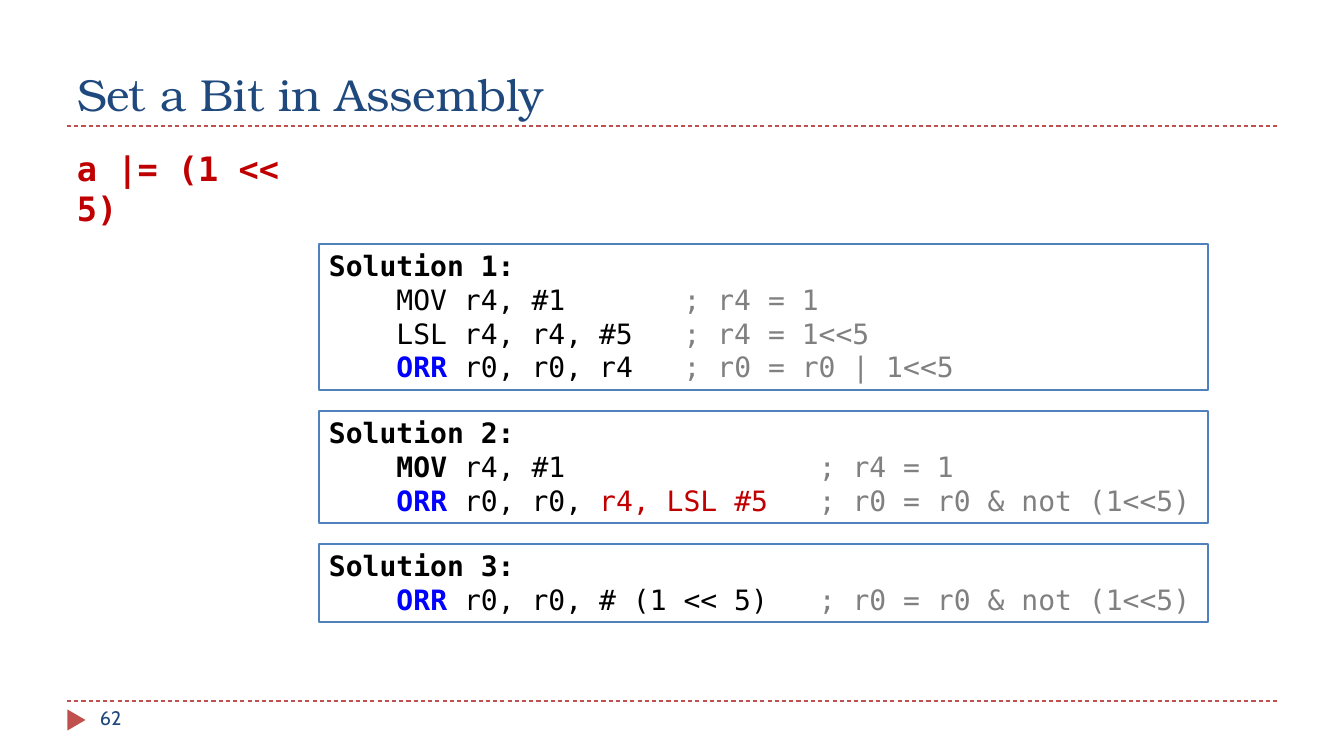
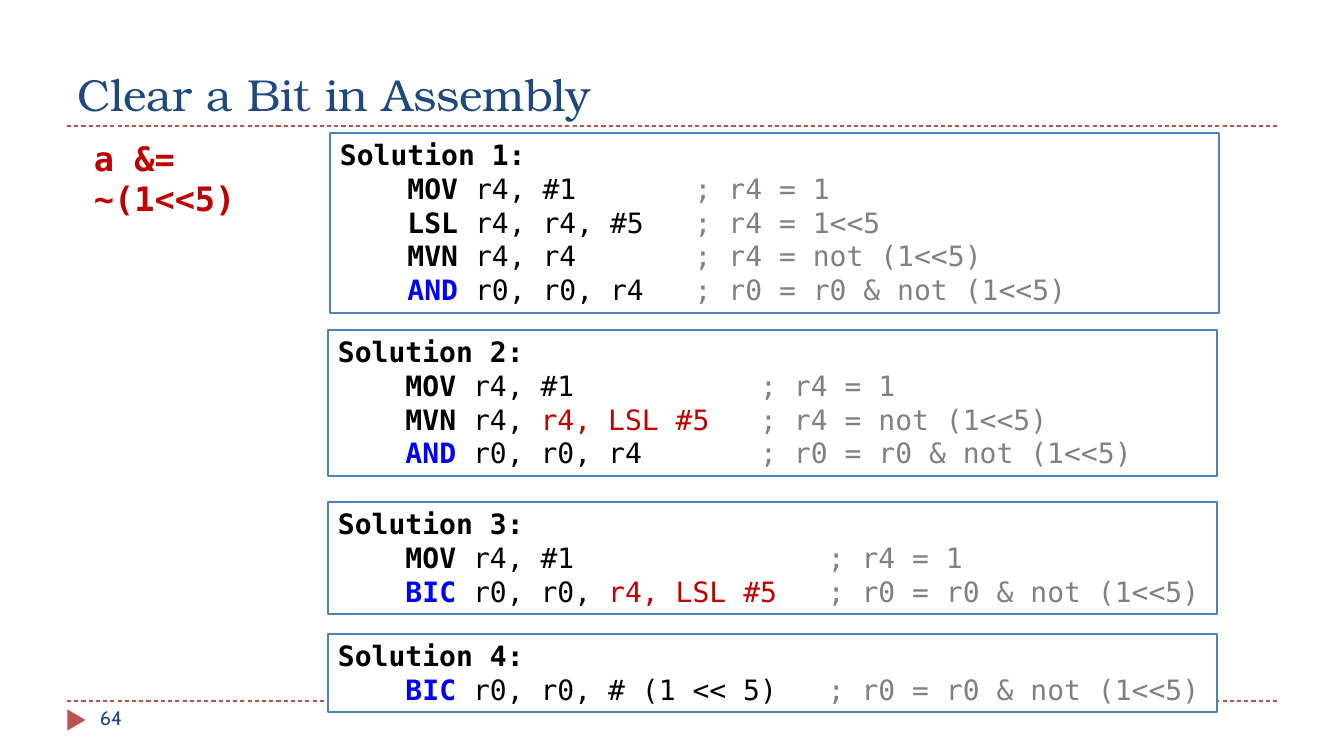
from lxml.etree import SubElement
from pptx import Presentation
from pptx.dml.color import RGBColor
from pptx.enum.dml import MSO_LINE
from pptx.enum.shapes import MSO_CONNECTOR, MSO_SHAPE
from pptx.enum.text import MSO_ANCHOR as Anchor, MSO_AUTO_SIZE as AutoSize, PP_ALIGN as Align
from pptx.oxml.ns import qn
from pptx.util import Emu, Pt

PX_PER_INCH = 100.8
COLORS = {
    "title": "1F497D", "accent": "C0504D", "border": "4F81BD", "paper": "FFFFFF",
    "code": "000000", "keyword": "0000FF", "shifted": "C00000", "comment": "808080",
}
FONTS = {
    "title": {"name": "TeX Gyre Bonum", "size": Pt(32), "bold": False},
    "number": {"name": "Cabin", "size": Pt(14), "bold": False},
    "formula": {"name": "DejaVu Sans Mono", "size": Pt(24), "bold": True},
    "code": {"name": "DejaVu Sans Mono", "size": Pt(20), "bold": False},
}
KEYWORDS = ("ORR", "AND", "BIC")
SHIFTED = "r4, LSL #5"
INDENT = " " * 4
COMMENT_GAP = 3
CODE_WIDTH, LINE_HEIGHT, CODE_PADDING = 889, 34, 10


def px(*lengths):
    return [Emu(round(length * 914400 / PX_PER_INCH)) for length in lengths]


def rgb(color):
    return RGBColor.from_string(COLORS[color])


def assign(target, **values):
    for name, value in values.items():
        setattr(target, name, value)


class Deck:
    def __init__(self):
        self.presentation = Presentation()
        width, height = px(1344, 756)
        assign(self.presentation, slide_width=width, slide_height=height)
        self.slide = None

    def add_slide(self, heading, number):
        layout = self.presentation.slide_layouts[5]
        self.slide = self.presentation.slides.add_slide(layout)
        for y in (701, 126):
            self.rule(y)
        self.marker()
        self.title(heading)
        self.label(number, "number", "title", 90, 701, 291, 40)

    def rule(self, y):
        line = self.slide.shapes.add_connector(MSO_CONNECTOR.STRAIGHT, *px(67, y, 1277, y))
        assign(line.line, width=Pt(0.75), dash_style=MSO_LINE.DASH)
        line.line.color.rgb = rgb("accent")
        SubElement(line.element.spPr, qn("a:effectLst"))

    def shape(self, kind, fill, *box):
        shape = self.slide.shapes.add_shape(kind, *px(*box))
        shape.shadow.inherit = False
        shape.fill.solid()
        shape.fill.fore_color.rgb = rgb(fill)
        return shape

    def marker(self):
        triangle = self.shape(MSO_SHAPE.ISOSCELES_TRIANGLE, "accent", 66, 711, 21, 18)
        triangle.rotation = 90
        triangle.line.fill.background()

    def title(self, heading):
        title = self.slide.shapes.title
        left, top, width, height = px(67, 17, 1210, 109)
        assign(title, left=left, top=top, width=width, height=height)
        self.frame(title, Anchor.BOTTOM)
        self.run(title.text_frame.paragraphs[0], heading, "title", "title")

    def label(self, text, font, color, *box):
        label = self.slide.shapes.add_textbox(*px(*box))
        self.frame(label)
        self.run(label.text_frame.paragraphs[0], text, font, color)

    def frame(self, shape, anchor=Anchor.TOP):
        assign(shape.text_frame, word_wrap=True, auto_size=AutoSize.NONE, vertical_anchor=anchor)
        shape.text_frame.paragraphs[0].alignment = Align.LEFT

    def run(self, paragraph, text, font, color, **changes):
        run = paragraph.add_run()
        run.text = text
        assign(run.font, **{**FONTS[font], **changes})
        run.font.color.rgb = rgb(color)

    def solution(self, number, left, top, lines, bold_opcodes=True):
        height = CODE_PADDING + LINE_HEIGHT * (len(lines) + 1)
        panel = self.shape(MSO_SHAPE.RECTANGLE, "paper", left, top, CODE_WIDTH, height)
        panel.line.color.rgb = rgb("border")
        panel.line.width = Pt(1.5)
        self.frame(panel)
        heading = panel.text_frame.paragraphs[0]
        self.run(heading, f"Solution {number}:", "code", "code", bold=True)
        column = max(len(code) for code, _ in lines) + COMMENT_GAP
        for code, comment in lines:
            paragraph = panel.text_frame.add_paragraph()
            paragraph.alignment = Align.LEFT
            self.instruction(paragraph, code.ljust(column), comment, bold_opcodes)

    def instruction(self, paragraph, code, comment, bold_opcodes):
        opcode, operands = code[:3], code[3:]
        is_keyword = opcode in KEYWORDS
        plain, shifted, rest = operands.partition(SHIFTED)
        self.run(paragraph, INDENT, "code", "code")
        self.run(paragraph, opcode, "code", "keyword" if is_keyword else "code",
                 bold=is_keyword or bold_opcodes)
        self.run(paragraph, plain, "code", "code")
        if shifted:
            self.run(paragraph, shifted + rest, "code", "shifted")
        self.run(paragraph, f"; {comment}", "code", "comment")


def main():
    load_one = ("MOV r4, #1", "r4 = 1")
    shift_one = ("LSL r4, r4, #5", "r4 = 1<<5")
    cleared = "r0 = r0 & not (1<<5)"
    inverted = "r4 = not (1<<5)"

    deck = Deck()
    deck.add_slide("Set a Bit in Assembly", "62")
    deck.label("a |= (1 << 5)", "formula", "shifted", 67, 143, 264, 50)
    deck.solution(1, 319, 244, [load_one, shift_one, ("ORR r0, r0, r4", "r0 = r0 | 1<<5")],
                  bold_opcodes=False)
    deck.solution(2, 319, 411, [load_one, ("ORR r0, r0, r4, LSL #5", cleared)])
    deck.solution(3, 319, 544, [("ORR r0, r0, # (1 << 5)", cleared)])

    deck.add_slide("Clear a Bit in Assembly", "64")
    deck.label("a &= ~(1<<5)", "formula", "shifted", 84, 133, 245, 50)
    mask = ("AND r0, r0, r4", cleared)
    deck.solution(1, 330, 133, [load_one, shift_one, ("MVN r4, r4", inverted), mask])
    deck.solution(2, 328, 330, [load_one, ("MVN r4, r4, LSL #5", inverted), mask])
    deck.solution(3, 328, 502, [load_one, ("BIC r0, r0, r4, LSL #5", cleared)])
    deck.solution(4, 328, 634, [("BIC r0, r0, # (1 << 5)", cleared)])

    deck.presentation.save("out.pptx")


if __name__ == "__main__":
    main()
